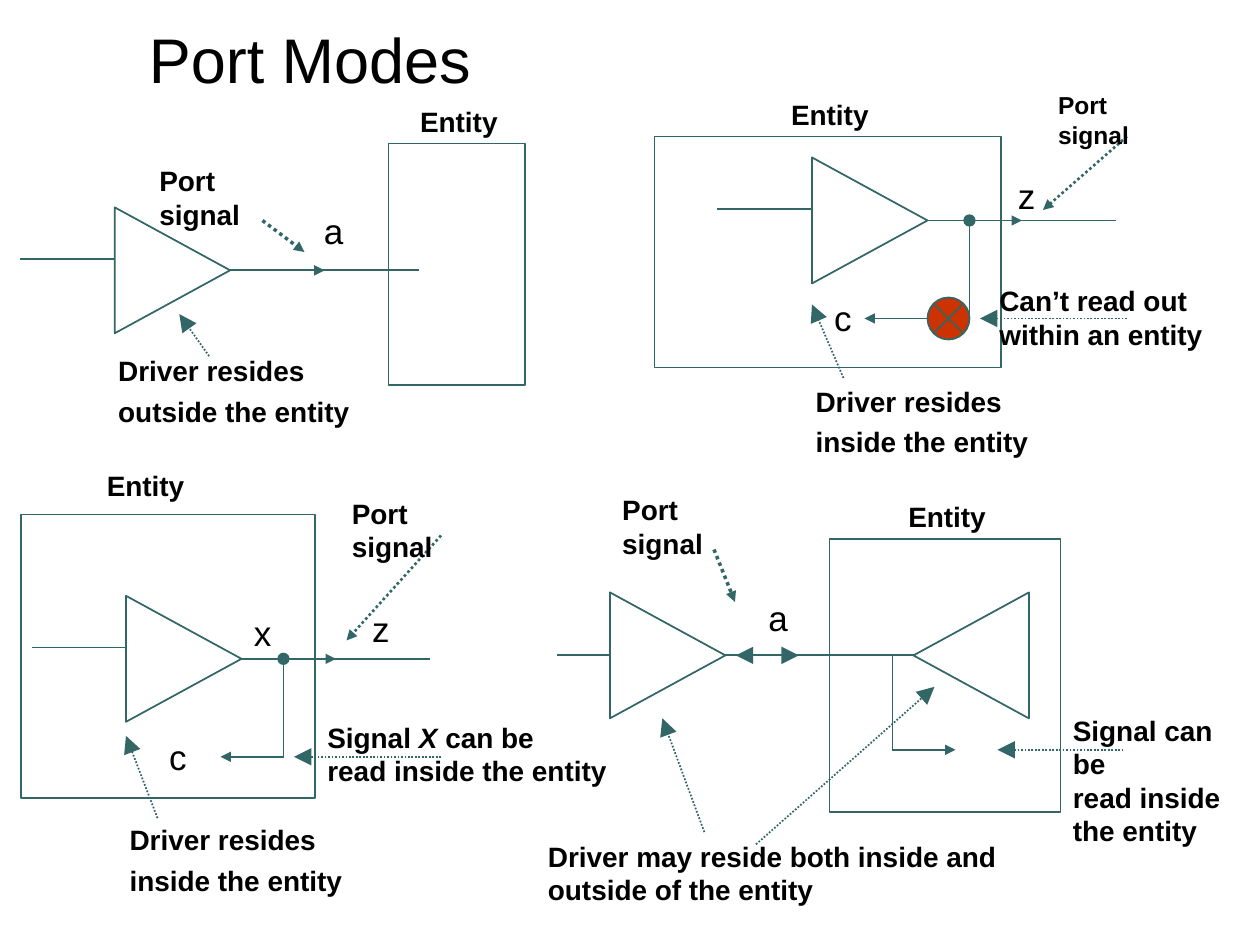
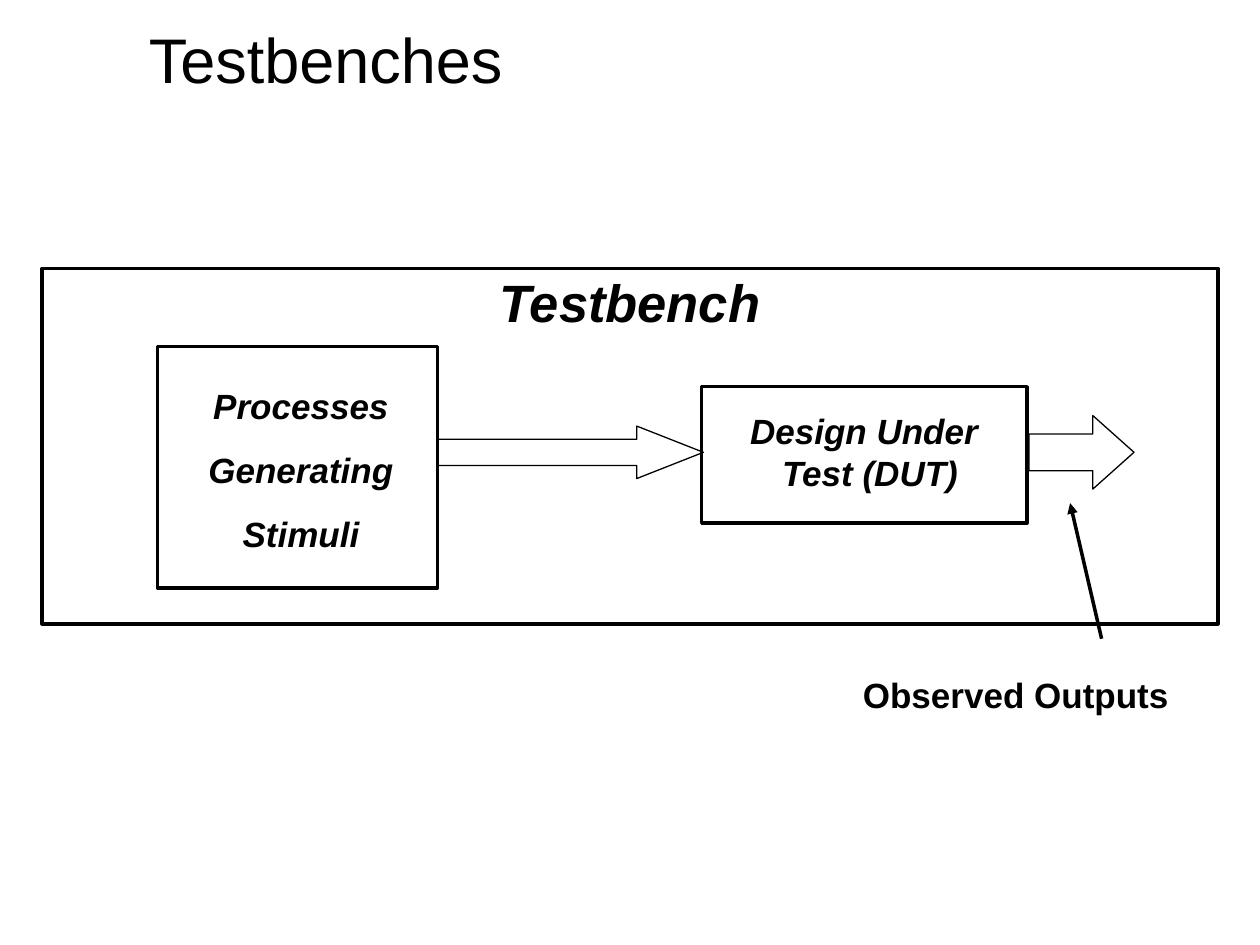
from lxml import etree
from pptx import Presentation
from pptx import util as u
from pptx.dml.color import RGBColor
from pptx.enum import dml, shapes, text
from pptx.oxml import ns

Pt = u.Pt
TEAL = RGBColor(0x33, 0x66, 0x66)
RED = RGBColor(0xCC, 0x33, 0x00)
BLACK = RGBColor(0x00, 0x00, 0x00)
FONT = "Arial"
KINDS = shapes.MSO_SHAPE
CENTER = text.PP_ALIGN.CENTER


def add_label(slide, words, x, y, size=16, bold=True, italic=False, before=0,
              align=text.PP_ALIGN.LEFT, width=None):
    """Add a text box as large as its words; words between underscores are italic."""
    lines = words.split("\n")
    wide = width or 14.4 + 0.46 * size * max(map(len, lines))
    high = 7.2 + (1.2 * size + before) * len(lines)
    frame = slide.shapes.add_textbox(Pt(x), Pt(y), Pt(wide), Pt(high)).text_frame
    frame.word_wrap = width is not None
    for number, line in enumerate(lines):
        paragraph = frame.paragraphs[0] if number == 0 else frame.add_paragraph()
        paragraph.alignment = align
        paragraph.space_before = Pt(before)
        for part, piece in enumerate(line.split("_")):
            run = paragraph.add_run()
            run.text = piece
            run.font.name = FONT
            run.font.size = Pt(size)
            run.font.bold = bold
            run.font.italic = italic or part % 2 == 1
            run.font.color.rgb = BLACK
    return frame


def draw_line(slide, start, end, color=TEAL, width=1, head=None, dotted=False):
    """Draw a straight line; head is the size of the arrowhead at its end."""
    connector = slide.shapes.add_connector(
        shapes.MSO_CONNECTOR.STRAIGHT, *[Pt(value) for value in (*start, *end)])
    connector.line.color.rgb = color
    connector.line.width = Pt(width)
    if dotted:
        connector.line.dash_style = dml.MSO_LINE.ROUND_DOT
    if head:
        etree.SubElement(connector.line._get_or_add_ln(), ns.qn("a:tailEnd"),
                         type="triangle", w=head, len=head)
    etree.SubElement(connector._element.spPr, ns.qn("a:effectLst"))


prs = Presentation()
prs.slide_width, prs.slide_height = Pt(720), Pt(540)

# Slides with their shared title style
slides = []
for heading in ("Port Modes", "Testbenches"):
    slide = prs.slides.add_slide(prs.slide_layouts[6])
    title = add_label(slide, heading, 78, 8, size=36, bold=False, width=618)
    title.vertical_anchor = text.MSO_ANCHOR.MIDDLE
    slides.append(slide)
modes, bench = slides

# Port modes: driver centre and entity box of each mode
drivers = {"in": (98.5, 154.5), "out": (497, 126),
           "buffer": (105, 376.5), "inout": (381.5, 374.5)}
entities = {"in": (222, 82, 78, 138), "out": (374, 78, 198, 132),
            "buffer": (12, 294, 168, 162), "inout": (474, 308, 132, 156)}
REACH = 33  # from a driver's centre to its tip, base or corners
STEP = 54   # length of one stretch of wire
DROP = 56   # depth of the feedback branch
inner_x = 555  # second driver of inout, facing left

# Outlines: entities, drivers, taps on the port signal and the blocked read
outlines = [(KINDS.RECTANGLE, box, 0, None) for box in entities.values()]
for x, y, turn in [(*centre, 90) for centre in drivers.values()] + [
        (inner_x, drivers["inout"][1], 270)]:
    box = (x - REACH - 3, y - REACH, 2 * REACH + 6, 2 * REACH)
    outlines.append((KINDS.FLOWCHART_EXTRACT, box, turn, None))
for mode in ("out", "buffer"):
    x, y = drivers[mode]
    outlines.append((KINDS.OVAL, (x + STEP, y - 3, 6, 6), 0, TEAL))
x, y = drivers["out"]
outlines.append((KINDS.FLOWCHART_SUMMING_JUNCTION,
                 (x + REACH, y + DROP - 12, 24, 24), 0, RED))
for kind, box, turn, fill in outlines:
    part = modes.shapes.add_shape(kind, *[Pt(value) for value in box])
    part.shadow.inherit = False
    part.rotation = turn
    part.line.color.rgb = TEAL
    part.line.width = Pt(1)
    if fill is None:
        part.fill.background()
    else:
        part.fill.solid()
        part.fill.fore_color.rgb = fill

# One-way modes: driver input, arrow on the port signal and its continuation
for mode in ("in", "out", "buffer"):
    x, y = drivers[mode]
    tip, arrow = x + REACH, x + REACH + STEP
    draw_line(modes, (x - arrow + x, y - 6.5), (x - REACH, y - 6.5))
    draw_line(modes, (tip, y), (arrow, y), head="med")
    draw_line(modes, (arrow - 6, y), (arrow + STEP, y))

# Feedback branch inside the entity, with the pointer to where it is read
for mode, shift in (("out", REACH), ("buffer", STEP + 3)):
    x, y = drivers[mode]
    tap, low = x + STEP + 3, y + DROP
    draw_line(modes, (tap, y), (tap, low))
    draw_line(modes, (x + shift, low), (x + shift - 36, low), head="med")
    draw_line(modes, (tap + 90, low), (tap + 6, low), head="lg", dotted=True)
    add_label(modes, "c", x + shift / 2 - 44, low - 16, size=20, bold=False, before=5)

# Two-way mode: the shared signal, its opposite arrows and the inner branch
x, y = drivers["inout"]
tip, inner_tip = x + REACH, inner_x - REACH
branch, low = inner_tip - 12, y + STEP
for start, end, head in ((x - 63, x - REACH, None), (tip, tip + 12, None),
                         (tip + 12, tip + 42, "lg"), (tip + 66, tip + 6, "lg"),
                         (tip + 42, inner_tip, None)):
    draw_line(modes, (start, y), (end, y), head=head)
draw_line(modes, (branch, y), (branch, low))
draw_line(modes, (branch, low), (branch + 36, low), head="med")
draw_line(modes, (branch + 132, low), (branch + 60, low), head="lg", dotted=True)
draw_line(modes, (432, 482.5), (534, 392.5), head="lg", dotted=True)

# Port signal pointers: start, run, width, then caption place and size
for start, run, width, place, size in (
        ((150, 126), (24, 18), 2, (84, 90), 16),
        ((644, 78), (-48, 42), 1.5, (597.5, 48), 14),
        ((252, 306), (-54, 60), 1.5, (194, 280), 16),
        ((408, 314), (12, 30), 2, (348.5, 278), 16)):
    end = [a + b for a, b in zip(start, run)]
    draw_line(modes, start, end, width=width, head="med", dotted=True)
    add_label(modes, "Port signal", *place, size=size, before=size / 4)

# Driver pointers, from below towards the driver, with their captions
for mode, place, start, end in (("in", "outside", (21, 49), (4, 25)),
                                ("out", "inside", (-15, 90), (-33, 48)),
                                ("buffer", "inside", (-15, 91), (-33, 44)),
                                ("inout", None, (21, 101), (-3, 36))):
    x, y = drivers[mode]
    draw_line(modes, (x + start[0], y + start[1]), (x + end[0], y + end[1]),
              head="lg", dotted=True)
    if place:
        top = y + (DROP - 12 if mode == "in" else 90)
        add_label(modes, f"Driver resides\n{place} the entity", x - 38, top, before=4)

# Entity names above the boxes
for mode, (left, top, width, height) in entities.items():
    shift, rise = (42, 30) if mode == "buffer" else (28, 26)
    add_label(modes, "Entity", left + width / 2 - shift, top - rise, before=4)

# Signal names
for name, x, y in (("a", 178, 116), ("z", 574.5, 96), ("x", 138, 346),
                   ("z", 205.5, 343.5), ("a", 432, 337.5)):
    add_label(modes, name, x, y, size=20, bold=False, before=5)

# Notes on reading the signals
add_label(modes, "Can’t read out\nwithin an entity", 564, 158.5)
add_label(modes, "Signal _X _can be\nread inside the entity", 180, 408)
add_label(modes, "Signal can be\nread inside\nthe entity", 606, 404)
add_label(modes, "Driver may reside both inside and outside of the entity",
          306, 476, before=4, width=312)

# Testbench: frame, stimuli and design boxes, with block arrows on one axis
AXIS = 258.5
stimuli_right, design_left, design_right = 250, 401, 587
blocks = (
    (KINDS.RECTANGLE, 24, 696, 255, 203, None),
    (KINDS.RECTANGLE, 90, stimuli_right, 267, 138, None),
    (KINDS.RECTANGLE, design_left, design_right, 260, 78, None),
    (KINDS.RIGHT_ARROW, stimuli_right, design_left + 1, AXIS, 30, 1.27),
    (KINDS.RIGHT_ARROW, design_right + 1, 648, AXIS, 42, 0.56))
for kind, left, right, middle, height, point in blocks:
    block = bench.shapes.add_shape(kind, Pt(left), Pt(middle - height / 2),
                                   Pt(right - left), Pt(height))
    block.shadow.inherit = False
    block.fill.background()
    block.line.color.rgb = BLACK
    block.line.width = Pt(0.75 if point else 2)
    if point:
        block.adjustments[1] = point

# Testbench captions
heading = add_label(bench, "Testbench", 24, 153.5, size=30, italic=True, before=7.5,
                    align=CENTER, width=672)
heading.paragraphs[0].line_spacing = 0.95
add_label(bench, "Processes\nGenerating\nStimuli", 96, 216, size=20, italic=True,
          before=12.5, align=CENTER, width=152)
design = add_label(bench, "Design Under Test (DUT)", 405.5, 230.5, size=20,
                   italic=True, before=12.5, align=CENTER, width=165.5)
indent = design.paragraphs[0]._p.get_or_add_pPr()
indent.set("marL", str(Pt(18)))
indent.set("indent", str(Pt(-7)))
add_label(bench, "Observed Outputs", 486, 381.5, size=20, before=5, width=225)
draw_line(bench, (629.5, 365), (611.5, 287.5), BLACK, 2, "med")

prs.save("out.pptx")
